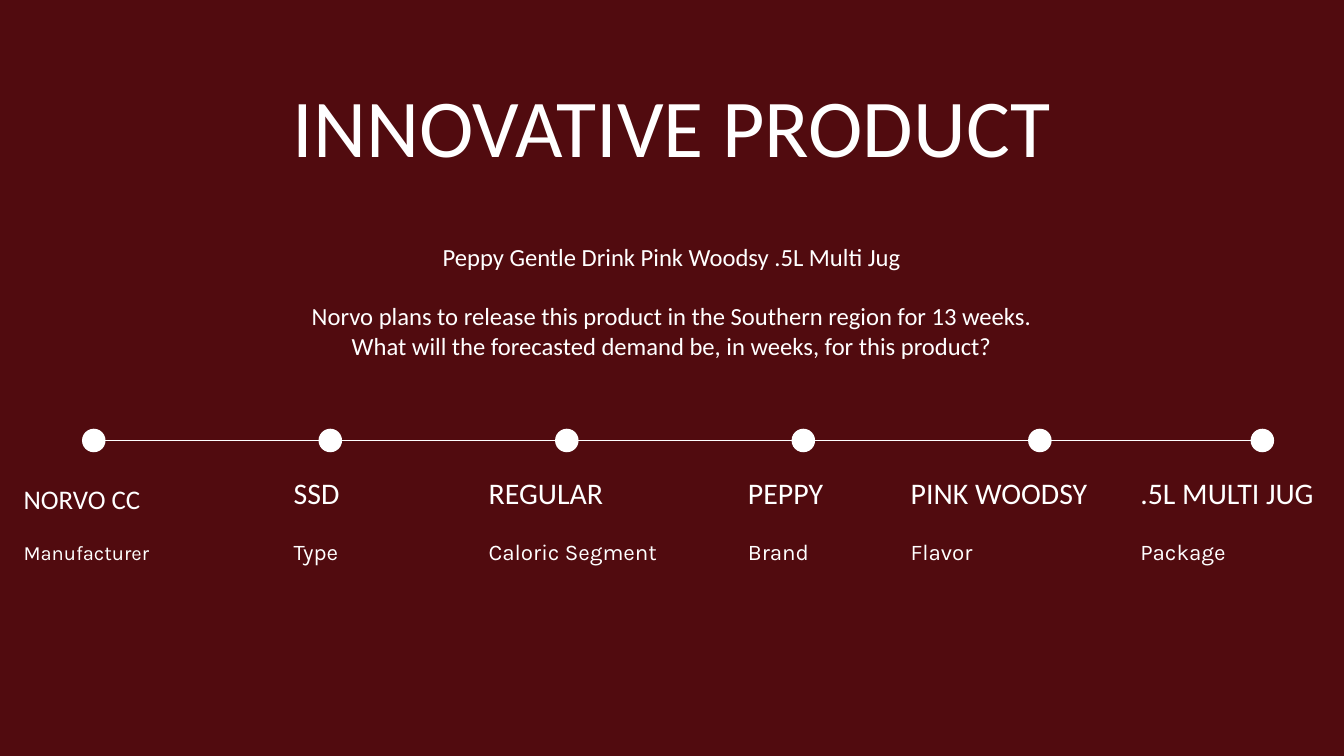
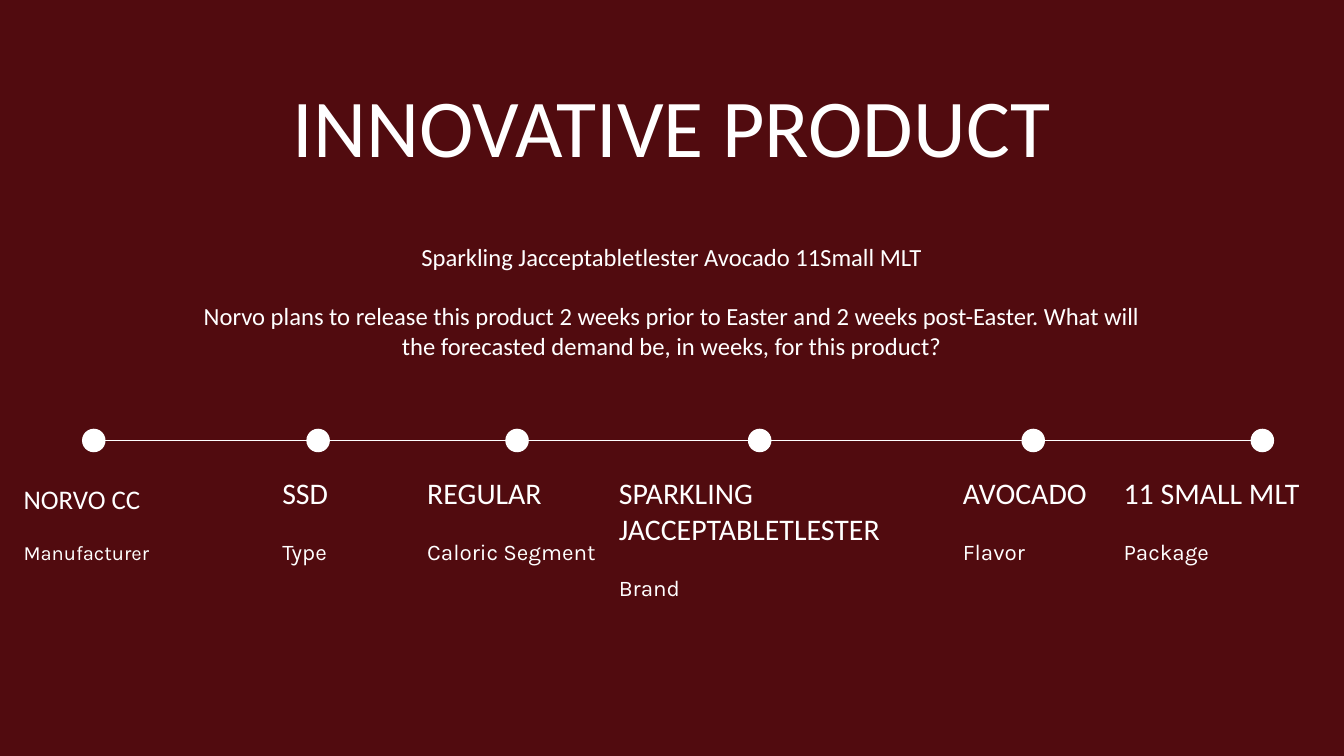
from pptx import Presentation
from pptx.dml.color import RGBColor
from pptx.enum.shapes import MSO_CONNECTOR, MSO_SHAPE
from pptx.enum.text import MSO_AUTO_SIZE, PP_ALIGN
from pptx.oxml.ns import qn
from pptx.util import Cm, Pt
from lxml.etree import SubElement

COLORS = {"wine": "510B0F", "white": "FFFFFF"}
WHITE = RGBColor.from_string(COLORS["white"])
HEAD, BODY = "Calibri", "Karla"

# Timeline: first and last dot, dot size, height of the line
START, END, DOT, LINE = 3.1, 47.27, 0.89, 16.65
STEP = 8.94
KINDS = ["Manufacturer", "Type", "Caloric Segment", "Brand", "Flavor", "Package"]

# Each label: left, width, value, number of lines
SLIDES = [
    {
        "text": [
            "Peppy Gentle Drink Pink Woodsy .5L Multi Jug",
            "Norvo plans to release this product in the Southern region for 13 weeks.",
            "What will the forecasted demand be, in weeks, for this product?",
        ],
        "dots": [START + STEP * i for i in range(5)] + [END],
        "labels": [
            (0.89, 5.28, "NORVO CC", 1),
            (11.1, 2.74, "SSD", 1),
            (18.47, 6.81, "REGULAR", 1),
            (28.27, 4.22, "PEPPY", 1),
            (34.42, 7.82, "PINK WOODSY", 1),
            (43.1, 8.33, ".5L MULTI JUG", 1),
        ],
    },
    {
        "text": [
            "Sparkling Jacceptabletlester Avocado 11Small MLT",
            "Norvo plans to release this product 2 weeks prior to Easter and 2 weeks "
            "post-Easter. What will the forecasted demand be, in weeks, for this product?",
        ],
        "dots": [START, 11.58, 19.1, 28.27, 38.61, END],
        "labels": [
            (0.89, 5.28, "NORVO CC", 1),
            (10.67, 2.74, "SSD", 1),
            (16.15, 7.26, "REGULAR", 1),
            (23.39, 12.55, "SPARKLING JACCEPTABLETLESTER", 2),
            (36.4, 5.74, "AVOCADO", 1),
            (42.47, 8.33, "11 SMALL MLT", 1),
        ],
    },
]


def add_text(slide, box, lines, size, font, pitch, align=PP_ALIGN.LEFT):
    frame = slide.shapes.add_textbox(*[Cm(v) for v in box]).text_frame
    frame.word_wrap = True
    frame.auto_size = MSO_AUTO_SIZE.SHAPE_TO_FIT_TEXT
    frame.margin_left = frame.margin_right = 0
    frame.margin_top = frame.margin_bottom = 0
    for i, line in enumerate(lines):
        para = frame.paragraphs[0] if i == 0 else frame.add_paragraph()
        para.text = line
        para.alignment = align
        para.line_spacing = Pt(pitch)
        if i == 1:
            para.space_before = Pt(pitch)
        para.font.size = Pt(size)
        para.font.name = font
        para.font.color.rgb = WHITE


deck = Presentation()
deck.slide_width, deck.slide_height = Cm(50.8), Cm(28.575)

for data in SLIDES:
    slide = deck.slides.add_slide(deck.slide_layouts[6])
    slide.background.fill.solid()
    slide.background.fill.fore_color.rgb = RGBColor.from_string(COLORS["wine"])

    # Line and dots
    line = slide.shapes.add_connector(
        MSO_CONNECTOR.STRAIGHT, Cm(START), Cm(LINE), Cm(END), Cm(LINE))
    line.line.color.rgb = WHITE
    line.line.width = Pt(1.5)
    SubElement(line._element.spPr, qn("a:effectLst"))
    for left in data["dots"]:
        dot = slide.shapes.add_shape(
            MSO_SHAPE.OVAL, Cm(left), Cm(LINE - DOT / 2), Cm(DOT), Cm(DOT))
        dot.shadow.inherit = False
        dot.fill.solid()
        dot.fill.fore_color.rgb = WHITE
        dot.line.fill.background()

    # Title and question
    add_text(slide, (2.84, 2.84, 45.1, 3.71), ["INNOVATIVE PRODUCT"],
             88, HEAD, 105.6, PP_ALIGN.CENTER)
    add_text(slide, (7.37, 9.14, 36.04, 4.47), data["text"],
             26.4, HEAD, 31.7, PP_ALIGN.CENTER)

    # Labels: the first one is set at 90 percent
    for i, (left, width, value, rows) in enumerate(data["labels"]):
        scale = 0.9 if i == 0 else 1
        top, low = (18.26, 20.27) if i == 0 else (17.93, 20.17)
        tall = 1.36 * scale
        add_text(slide, (left, top, width, tall * rows), [value],
                 32 * scale, HEAD, 38.4 * scale)
        add_text(slide, (left, low + tall * (rows - 1), width, 1.12 * scale),
                 [KINDS[i]], 24 * scale, BODY, 33.6 * scale)

deck.save("out.pptx")
